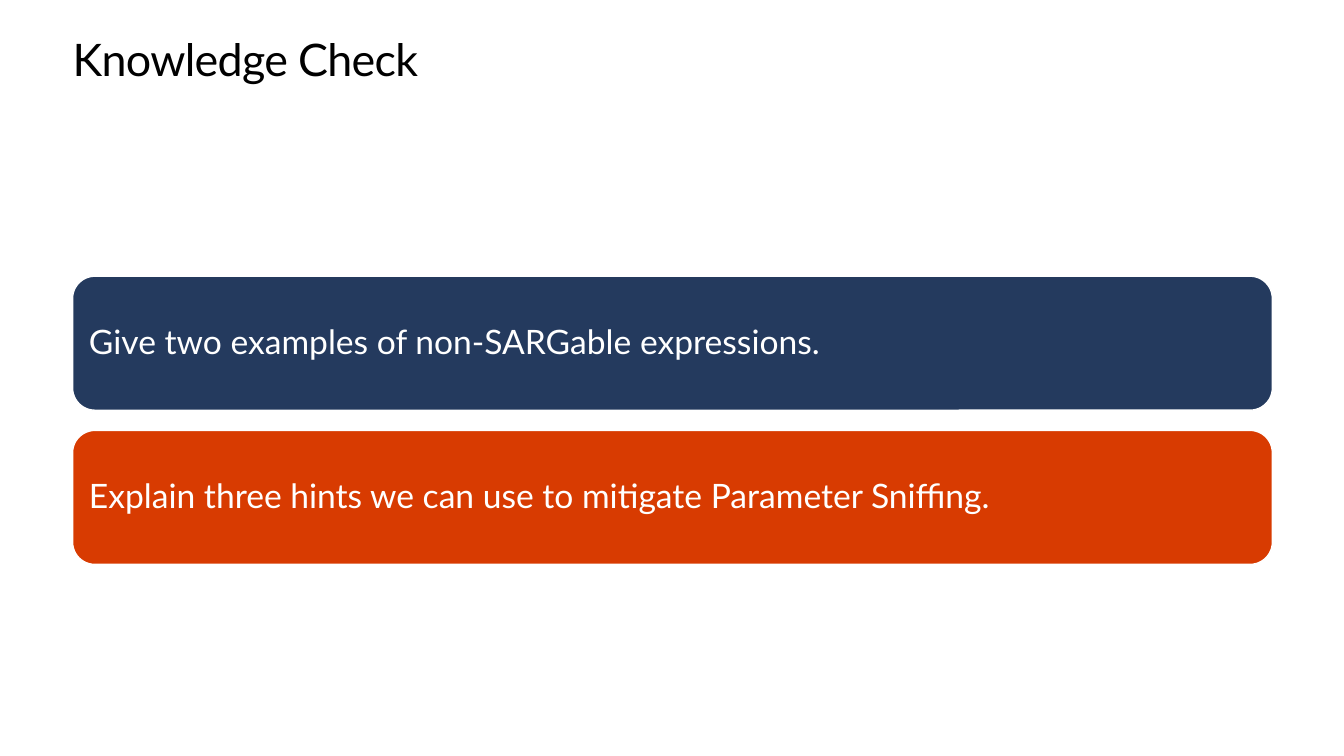
from dataclasses import dataclass

from pptx import Presentation
from pptx.dml.color import RGBColor
from pptx.enum.shapes import MSO_SHAPE
from pptx.enum.text import MSO_ANCHOR, PP_ALIGN
from pptx.slide import Slide
from pptx.text.text import TextFrame
from pptx.util import Inches, Length, Pt

ROUND = MSO_SHAPE.ROUNDED_RECTANGLE
TOP = MSO_ANCHOR.TOP
MIDDLE = MSO_ANCHOR.MIDDLE
LEFT = PP_ALIGN.LEFT

EDGE = 0.72
WIDTH = 11.9
FIRST = 2.74
HEIGHT = 1.33
STEP = 1.53


@dataclass
class Card:
    text: str
    fill: str


@dataclass
class Style:
    size: float
    color: str
    inset: float
    anchor: MSO_ANCHOR
    spacing: float | Length


TITLE = Style(32, "000000", 0, TOP, Pt(36.2))
BODY = Style(24, "FFFFFF", 0.1, MIDDLE, 0.9)

CARDS = [
    Card("Give two examples of non-SARGable expressions.", "243A5E"),
    Card("Explain three hints we can use to mitigate Parameter Sniffing.", "D83B01"),
]


def rgb(code: str) -> RGBColor:
    return RGBColor.from_string(code)


def write(frame: TextFrame, text: str, style: Style) -> None:
    inset = Inches(style.inset)
    layout = {
        "word_wrap": True,
        "vertical_anchor": style.anchor,
        "margin_left": inset,
        "margin_top": inset,
        "margin_right": inset,
        "margin_bottom": inset,
    }
    for name, value in layout.items():
        setattr(frame, name, value)
    line = frame.paragraphs[0]
    line.alignment = LEFT
    line.line_spacing = style.spacing
    run = line.add_run()
    run.text = text
    for name, value in {"name": "Lato", "size": Pt(style.size)}.items():
        setattr(run.font, name, value)
    run.font.color.rgb = rgb(style.color)


def add_title(slide: Slide, text: str) -> None:
    box = slide.shapes.add_textbox(
        Inches(EDGE), Inches(0.35), Inches(WIDTH), Inches(0.5)
    )
    write(box.text_frame, text, TITLE)
    run = box.text_frame.paragraphs[0].runs[0]
    run.font._element.set("spc", "-50")


def add_card(slide: Slide, card: Card, top: float) -> None:
    shape = slide.shapes.add_shape(
        ROUND, Inches(EDGE), Inches(top), Inches(WIDTH), Inches(HEIGHT)
    )
    shape.shadow.inherit = False
    shape.fill.solid()
    shape.fill.fore_color.rgb = rgb(card.fill)
    shape.line.color.rgb = rgb("FFFFFF")
    shape.line.width = Pt(1)
    write(shape.text_frame, card.text, BODY)


def main() -> None:
    deck = Presentation()
    deck.slide_width = Inches(13.33)
    deck.slide_height = Inches(7.5)
    slide = deck.slides.add_slide(deck.slide_layouts[6])
    add_title(slide, "Knowledge Check")
    for row, card in enumerate(CARDS):
        add_card(slide, card, FIRST + row * STEP)
    deck.save("out.pptx")


if __name__ == "__main__":
    main()
